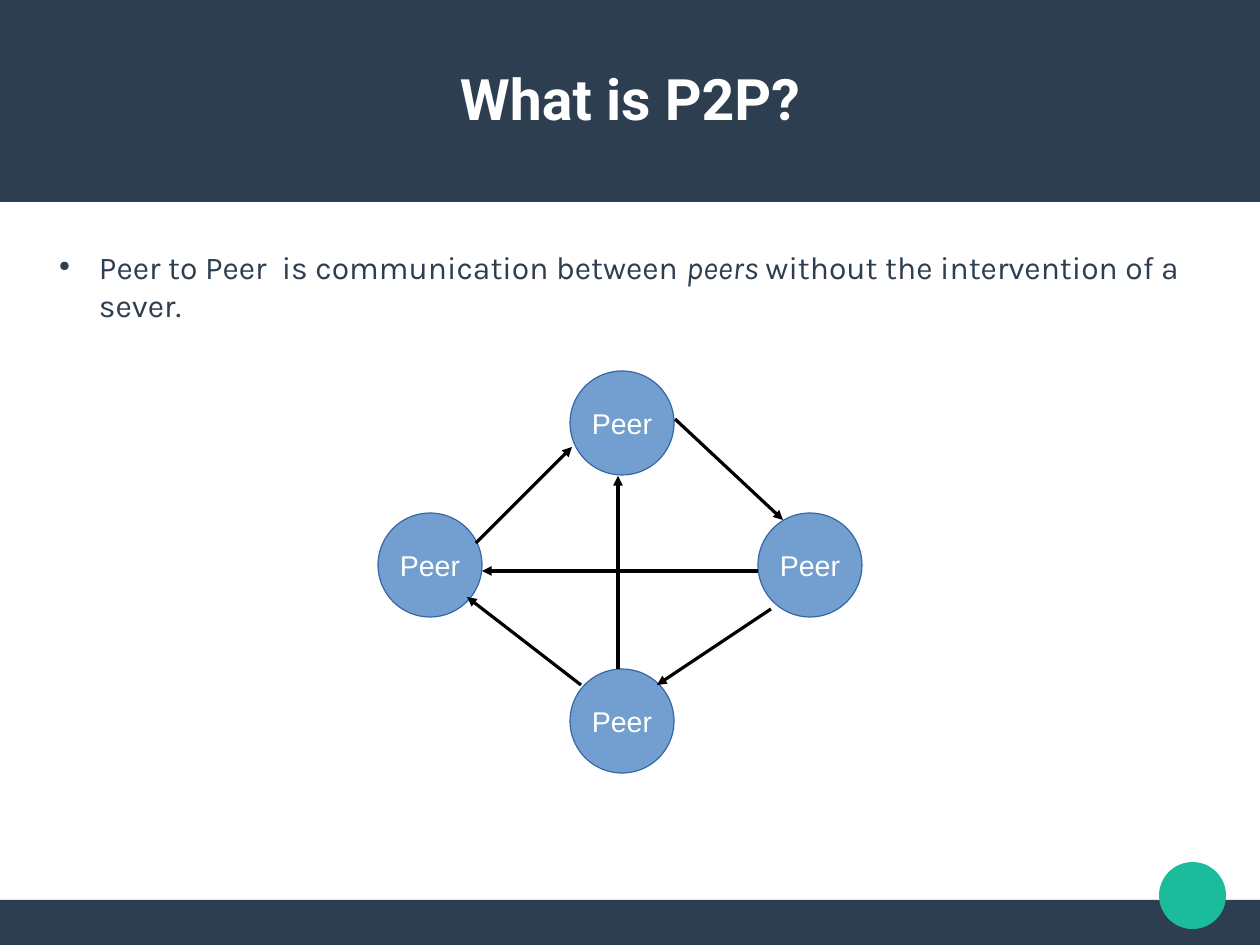
from dataclasses import dataclass

from lxml.etree import SubElement
from pptx import Presentation
from pptx.dml.color import RGBColor
from pptx.enum.shapes import MSO_CONNECTOR, MSO_SHAPE
from pptx.enum.text import MSO_ANCHOR, PP_ALIGN
from pptx.oxml.ns import qn
from pptx.util import Emu, Pt


@dataclass(frozen=True)
class Theme:
    navy: str = "2C3E50"
    teal: str = "1ABC9C"
    white: str = "FFFFFF"
    black: str = "000000"
    peer_fill: str = "729FCF"
    peer_line: str = "3465A4"
    title_size: int = 36
    body_size: int = 20
    peer_size: int = 18
    title_font: str = "Roboto"
    body_font: str = "Karla"
    peer_font: str = "Arial"


def px(n):
    return Emu(n * 8000)


def rgb(color):
    return RGBColor.from_string(color)


def write(p, text, *, font, size, color, bold=False, italic=False):
    r = p.add_run()
    r.text = text
    f = r.font
    f.name, f.size, f.bold, f.italic = font, Pt(size), bold, italic
    f.color.rgb = rgb(color)


class SlideBuilder:
    def __init__(self, prs, theme):
        self.theme = theme
        self.s = prs.slides.add_slide(prs.slide_layouts[6])

    def shape(self, kind, x, y, w, h, fill, line=None):
        sp = self.s.shapes.add_shape(kind, px(x), px(y), px(w), px(h))
        sp.shadow.inherit = False
        sp.fill.solid()
        sp.fill.fore_color.rgb = rgb(fill)
        if line:
            sp.line.color.rgb = rgb(line)
            sp.line.width = Pt(0)
        else:
            sp.line.fill.background()
        return sp

    def text_box(self, x, y, w, h, anchor=MSO_ANCHOR.TOP):
        """Add a wrapping box without margins and return its first paragraph."""
        tf = self.s.shapes.add_textbox(px(x), px(y), px(w), px(h)).text_frame
        tf.word_wrap = True
        tf.vertical_anchor = anchor
        tf.margin_left = tf.margin_right = tf.margin_top = tf.margin_bottom = 0
        return tf.paragraphs[0]

    def title(self, text):
        t = self.theme
        p = self.text_box(45, 38, 1170, 120, MSO_ANCHOR.MIDDLE)
        p.alignment = PP_ALIGN.CENTER
        write(p, text, font=t.title_font, size=t.title_size, color=t.white, bold=True)

    def bullet(self, *runs):
        """Add the body bullet from (text, italic) pairs."""
        t = self.theme
        p = self.text_box(45, 248, 1170, 630)
        pPr = p._p.get_or_add_pPr()
        pPr.set("marL", str(px(54)))
        pPr.set("indent", str(px(-40)))
        color = SubElement(pPr, qn("a:buClr"))
        SubElement(color, qn("a:srgbClr"), val=t.navy)
        SubElement(pPr, qn("a:buSzPct"), val="45000")
        SubElement(pPr, qn("a:buChar"), char="●")
        p.space_after = Pt(14.1)
        for text, italic in runs:
            write(p, text, font=t.body_font, size=t.body_size, color=t.navy, italic=italic)

    def peer(self, x, y, size=104):
        t = self.theme
        sp = self.shape(MSO_SHAPE.OVAL, x, y, size, size, t.peer_fill, t.peer_line)
        tf = sp.text_frame
        tf.word_wrap = False
        tf.vertical_anchor = MSO_ANCHOR.MIDDLE
        p = tf.paragraphs[0]
        p.alignment = PP_ALIGN.CENTER
        write(p, "Peer", font=t.peer_font, size=t.peer_size, color=t.white)

    def arrow(self, x1, y1, x2, y2):
        c = self.s.shapes.add_connector(
            MSO_CONNECTOR.STRAIGHT, px(x1), px(y1), px(x2), px(y2))
        c.line.color.rgb = rgb(self.theme.black)
        c.line.width = Pt(0)
        SubElement(c.line._get_or_add_ln(), qn("a:tailEnd"), type="triangle")
        SubElement(c._element.spPr, qn("a:effectLst"))


def main():
    prs = Presentation()
    prs.slide_width, prs.slide_height = px(1260), px(945)
    theme = Theme()
    b = SlideBuilder(prs, theme)

    b.shape(MSO_SHAPE.RECTANGLE, 0, 900, 1260, 45, theme.navy)
    b.shape(MSO_SHAPE.RECTANGLE, 0, 0, 1260, 202, theme.navy)
    b.shape(MSO_SHAPE.OVAL, 1159, 862, 67, 67, theme.teal)

    b.title("What is P2P?")
    b.bullet(
        ("Peer to Peer  is communication between ", False),
        ("peers ", True),
        ("without the intervention of a sever.", False),
    )

    for x, y in [(570, 371), (378, 513), (758, 513), (570, 669)]:
        b.peer(x, y)

    for ends in [
        (476, 543, 572, 447),
        (758, 571, 482, 571),
        (581, 685, 467, 597),
        (675, 419, 783, 520),
        (771, 609, 657, 685),
        (618, 669, 618, 476),
    ]:
        b.arrow(*ends)

    prs.save("out.pptx")


if __name__ == "__main__":
    main()
